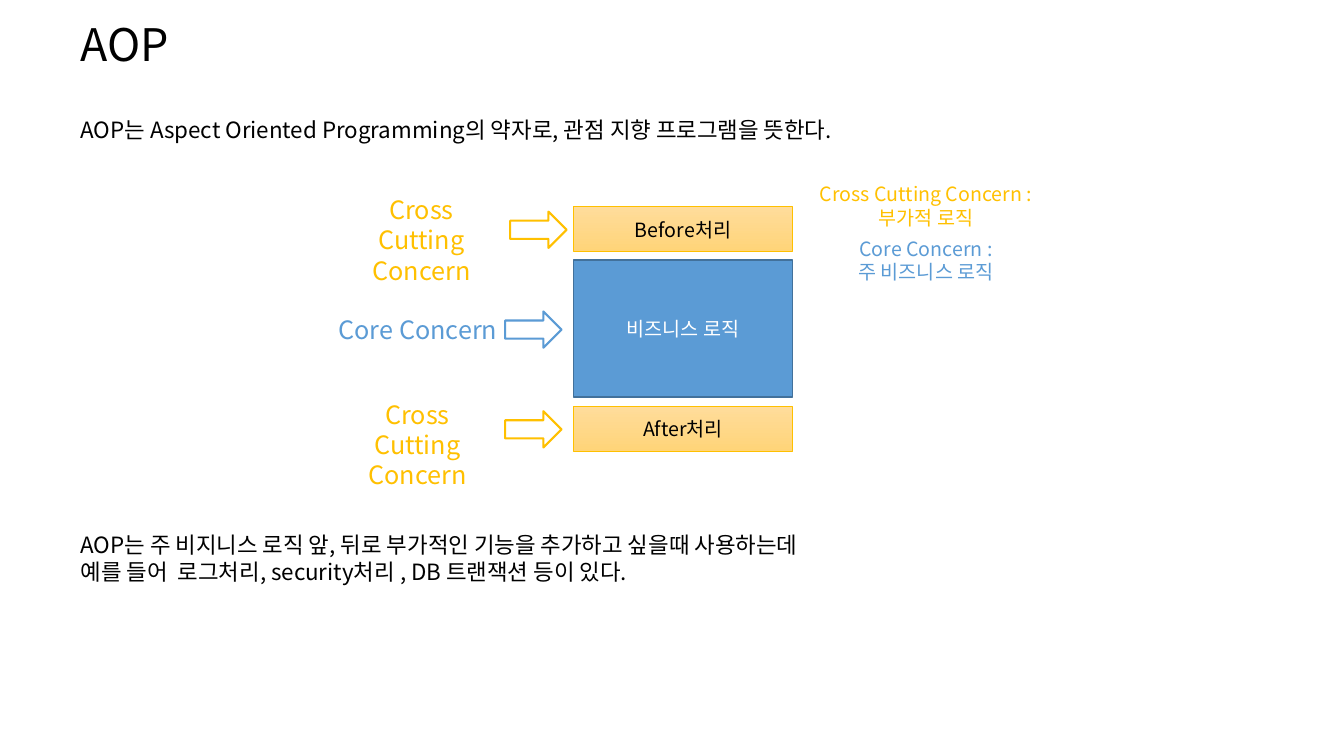
"""Build a slide that explains AOP and its cross-cutting and core concerns."""
import dataclasses

import pptx
import pptx.dml.color
import pptx.enum.shapes
import pptx.enum.text
import pptx.oxml.ns
import pptx.util
from lxml import etree

PX = 9144
ALIGN = pptx.enum.text.PP_ALIGN
ANCHOR = pptx.enum.text.MSO_ANCHOR
SHAPE = pptx.enum.shapes.MSO_SHAPE


@dataclasses.dataclass(frozen=True)
class Theme:
    """Font, colours and type sizes."""
    font: str = "Noto Sans CJK KR"
    ink: str = "000000"
    paper: str = "FFFFFF"
    cross: str = "FFC000"
    cross_fill: tuple = ("FFDC9B", "FFD478")
    core: str = "5B9BD5"
    core_edge: str = "42719B"
    title: int = 32
    label: int = 18
    body: int = 16
    small: int = 14


def rgb(color):
    """Turn a hex string into a colour."""
    return pptx.dml.color.RGBColor.from_string(color)


class Deck:
    """Draw elements on the current slide in one style."""

    def __init__(self, theme):
        """Start a wide presentation."""
        self.theme = theme
        self.prs = pptx.Presentation()
        self.prs.slide_width = 1333 * PX
        self.prs.slide_height = 750 * PX

    def add_slide(self):
        """Add a title-only slide and make it current."""
        self.s = self.prs.slides.add_slide(self.prs.slide_layouts[5])

    def set_text(self, sp, lines, size, color, align=ALIGN.LEFT, anchor=ANCHOR.TOP):
        """Put formatted lines into a shape, one paragraph each."""
        tf = sp.text_frame
        tf.word_wrap = True
        tf.auto_size = pptx.enum.text.MSO_AUTO_SIZE.NONE
        tf.vertical_anchor = anchor
        tf.text = "\n".join(lines)
        for p in tf.paragraphs:
            p.alignment = align
            p.font.size = pptx.util.Pt(size)
            p.font.name = self.theme.font
            p.font.color.rgb = rgb(color)
            def_rpr = p.font._element
            ea = etree.SubElement(def_rpr, pptx.oxml.ns.qn("a:ea"))
            ea.set("typeface", self.theme.font)

    def title(self, box, text):
        """Place and fill the title placeholder."""
        sp = self.s.shapes.title
        sp.left, sp.top, sp.width, sp.height = (v * PX for v in box)
        self.set_text(sp, [text], self.theme.title, self.theme.ink)

    def text(self, box, lines, size, color, align=ALIGN.LEFT):
        """Add a text box."""
        sp = self.s.shapes.add_textbox(*(v * PX for v in box))
        self.set_text(sp, lines, size, color, align)

    def shape(self, kind, box, edge, weight):
        """Add an outlined preset shape without shadow."""
        sp = self.s.shapes.add_shape(kind, *(v * PX for v in box))
        sp.shadow.inherit = False
        sp.line.color.rgb = rgb(edge)
        sp.line.width = pptx.util.Pt(weight)
        return sp

    def arrow(self, x, y, color):
        """Add a hollow arrow that points right."""
        sp = self.shape(SHAPE.RIGHT_ARROW, (x, y, 56, 36), color, 1.5)
        sp.fill.background()

    def cross_block(self, y, text):
        """Add a gradient block for a cross-cutting step."""
        sp = self.shape(SHAPE.RECTANGLE, (569, y, 217, 45), self.theme.cross, 0.75)
        sp.fill.gradient()
        sp.fill.gradient_angle = 270
        for stop, color in zip(sp.fill.gradient_stops, self.theme.cross_fill):
            stop.color.rgb = rgb(color)
        self.set_text(sp, [text], self.theme.small, self.theme.ink,
                      ALIGN.CENTER, ANCHOR.MIDDLE)

    def core_block(self, y, text):
        """Add the solid block for the core step."""
        sp = self.shape(SHAPE.RECTANGLE, (569, y, 217, 136), self.theme.core_edge, 1)
        sp.fill.solid()
        sp.fill.fore_color.rgb = rgb(self.theme.core)
        self.set_text(sp, [text], self.theme.small, self.theme.paper,
                      ALIGN.CENTER, ANCHOR.MIDDLE)


def main():
    """Build and save the slide."""
    t = Theme()
    deck = Deck(t)
    deck.add_slide()
    deck.title((70, 12, 109, 64), "AOP")
    deck.text((70, 110, 815, 37),
              ["AOP는 Aspect Oriented Programming의 약자로, 관점 지향 프로그램을 뜻한다."],
              t.body, t.ink)

    deck.cross_block(205, "Before처리")
    deck.core_block(258, "비즈니스 로직")
    deck.cross_block(403, "After처리")

    cross = ["Cross Cutting", "Concern"]
    concerns = [
        ((331, 188, 174, 71), cross, t.cross, (506, 210)),
        ((326, 307, 177, 40), ["Core Concern"], t.core, (501, 309)),
        ((327, 391, 174, 71), cross, t.cross, (501, 408)),
    ]
    for box, lines, color, (x, y) in concerns:
        deck.text(box, lines, t.label, color, ALIGN.CENTER)
        deck.arrow(x, y, color)

    deck.text((793, 176, 251, 57), ["Cross Cutting Concern : 부가적 로직"],
              t.small, t.cross, ALIGN.CENTER)
    deck.text((833, 230, 171, 57), ["Core Concern :", "주 비즈니스 로직"],
              t.small, t.core, ALIGN.CENTER)
    deck.text((70, 522, 822, 64),
              ["AOP는 주 비지니스 로직 앞, 뒤로 부가적인 기능을 추가하고 싶을때 사용하는데",
               "예를 들어  로그처리, security처리 , DB 트랜잭션 등이 있다."],
              t.body, t.ink)
    deck.prs.save("out.pptx")


if __name__ == "__main__":
    main()
